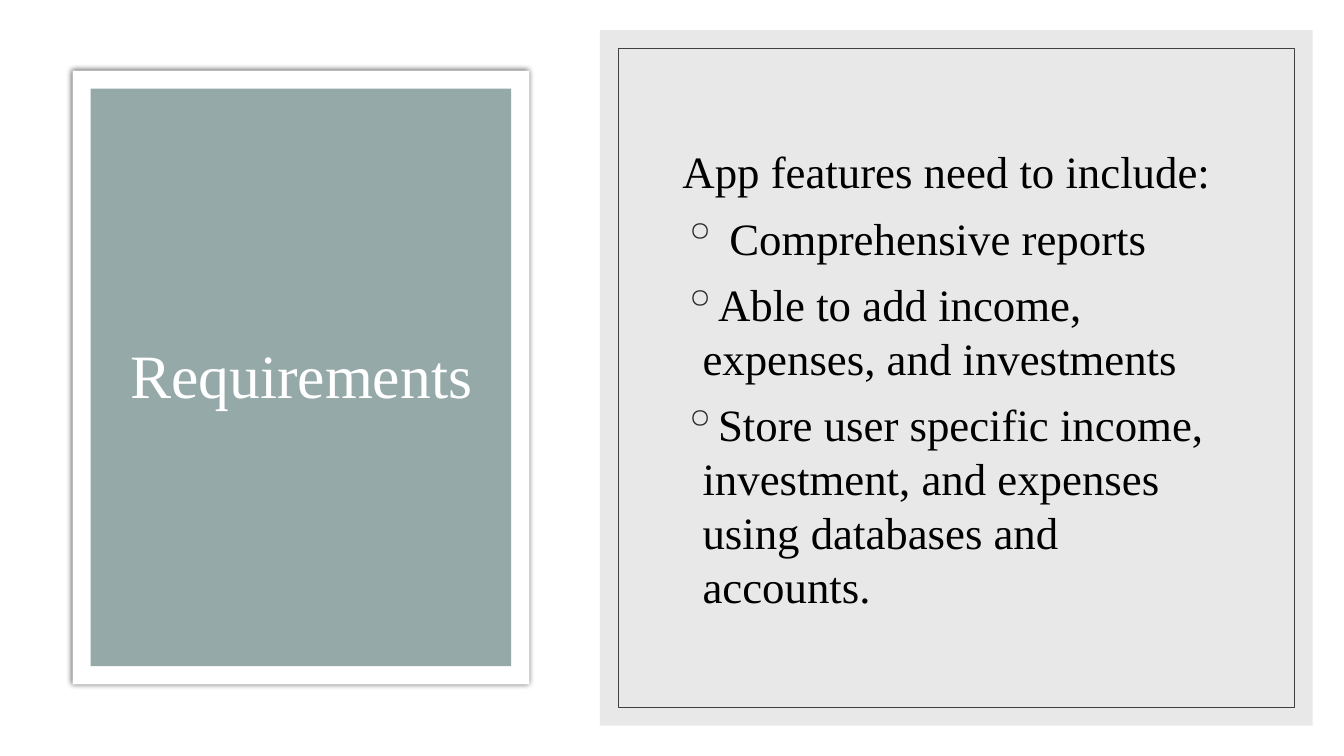
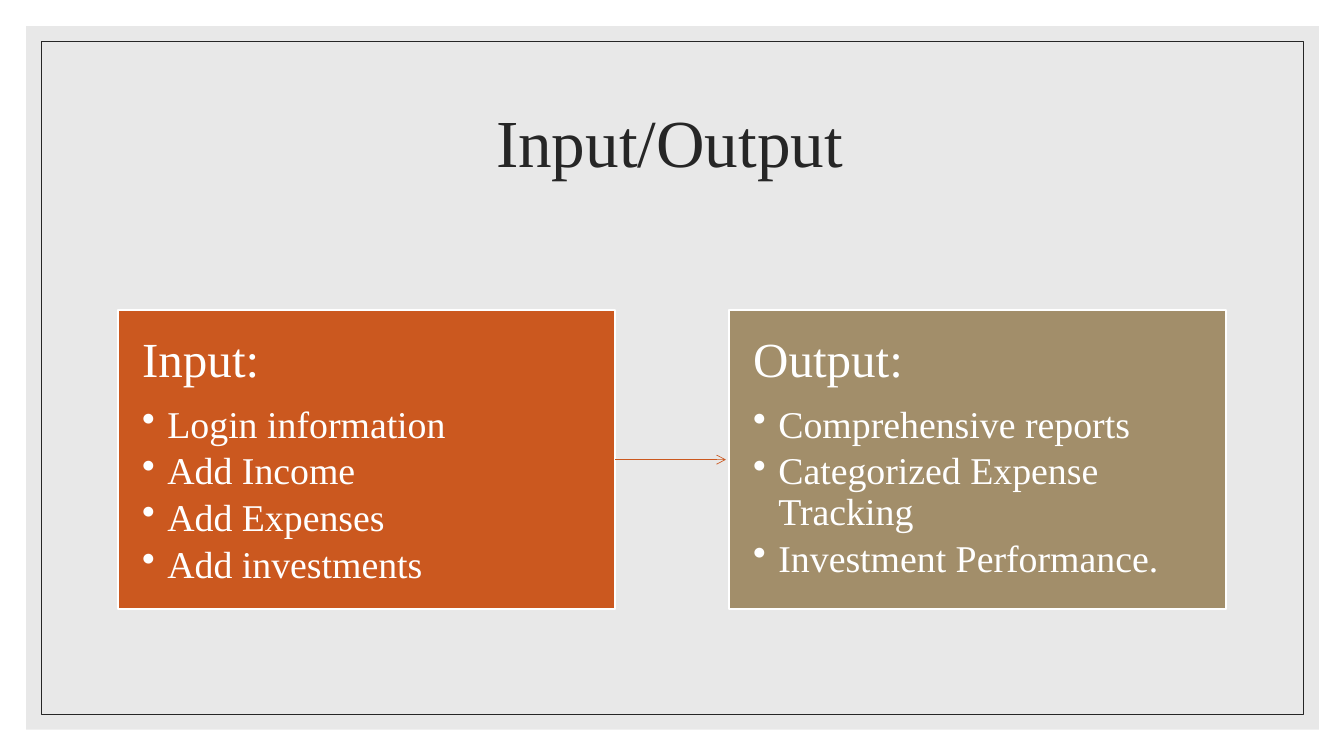
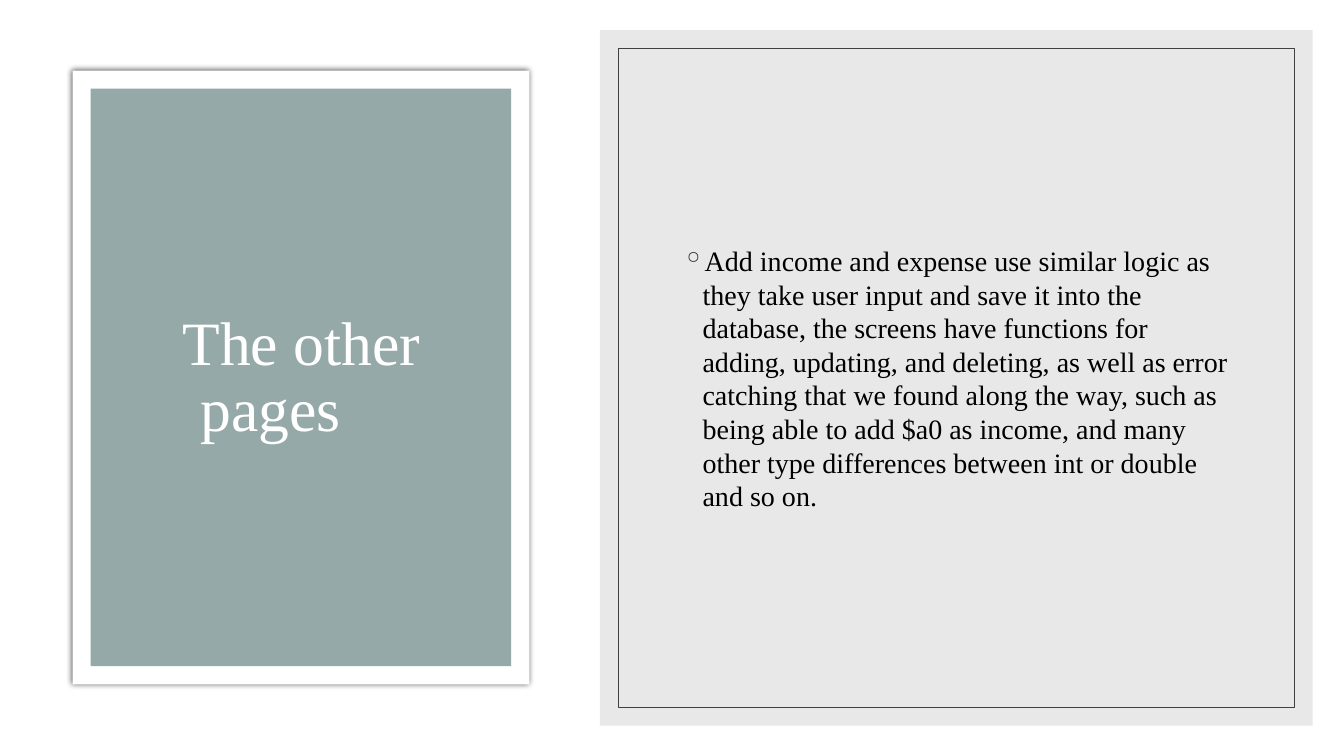
from dataclasses import dataclass
from typing import Optional

from lxml.etree import SubElement
from pptx import Presentation
from pptx.dml.color import RGBColor
from pptx.enum.shapes import MSO_CONNECTOR, MSO_SHAPE
from pptx.enum.text import MSO_ANCHOR, PP_ALIGN
from pptx.oxml.ns import qn
from pptx.util import Inches, Pt

FONT = "Times New Roman"
WHITE, BLACK, INK, EDGE = "FFFFFF", "000000", "262626", "404040"
GREY, SAGE, RUST, TAN = "D9D9D9", "96A9A9", "CB581F", "A28E6A"


@dataclass
class Box:
    left: float
    top: float
    width: float
    height: float

    def inset(self, gap: float) -> "Box":
        return Box(self.left + gap, self.top + gap,
                   self.width - 2 * gap, self.height - 2 * gap)

    def lengths(self) -> list:
        return [Inches(n) for n in (self.left, self.top, self.width, self.height)]


@dataclass
class Para:
    text: str
    size: float
    color: str
    align: PP_ALIGN = PP_ALIGN.LEFT
    line: Optional[float] = None
    before: float = 0
    after: float = 0
    bullet: str = ""
    indent: float = 0
    dot: str = ""


@dataclass
class Card:
    left: float
    fill: str
    head: str
    items: list


@dataclass
class Split:
    title: str
    body: list


def rgb(code: str) -> RGBColor:
    return RGBColor.from_string(code)


def add_rect(slide, box: Box, fill: str = "", line: str = "",
             width: float = 0.5, alpha: int = 100):
    shape = slide.shapes.add_shape(MSO_SHAPE.RECTANGLE, *box.lengths())
    shape.shadow.inherit = False
    if fill:
        shape.fill.solid()
        shape.fill.fore_color.rgb = rgb(fill)
        if alpha < 100:
            tint = shape.fill._xPr.find(".//" + qn("a:srgbClr"))
            SubElement(tint, qn("a:alpha"), val=str(alpha * 1000))
    else:
        shape.fill.background()
    if line:
        shape.line.color.rgb = rgb(line)
        shape.line.width = Pt(width)
    else:
        shape.line.fill.background()
    return shape


def add_glow(shape) -> None:
    """Give the shape a soft, centred shadow."""
    effects = shape._element.spPr.find(qn("a:effectLst"))
    shade = SubElement(effects, qn("a:outerShdw"), blurRad=str(Pt(4)), dist="0",
                       dir="0", algn="ctr", rotWithShape="0")
    tint = SubElement(shade, qn("a:srgbClr"), val=BLACK)
    SubElement(tint, qn("a:alpha"), val="66000")


def write(frame, paras: list, anchor: MSO_ANCHOR = MSO_ANCHOR.MIDDLE) -> None:
    frame.word_wrap = True
    frame.vertical_anchor = anchor
    for i, item in enumerate(paras):
        para = frame.add_paragraph() if i else frame.paragraphs[0]
        para.alignment = item.align
        para.line_spacing = item.line
        para.space_before = Pt(item.before)
        para.space_after = Pt(item.after)
        if item.bullet:
            props = para._p.get_or_add_pPr()
            props.set("marL", str(Inches(item.indent)))
            props.set("indent", str(-Inches(item.indent)))
            if item.dot:
                tint = SubElement(props, qn("a:buClr"))
                SubElement(tint, qn("a:srgbClr"), val=item.dot)
            SubElement(props, qn("a:buChar"), char=item.bullet)
        run = para.add_run()
        run.text = item.text
        run.font.name = FONT
        run.font.size = Pt(item.size)
        run.font.color.rgb = rgb(item.color)


def add_text(slide, box: Box, paras: list) -> None:
    write(slide.shapes.add_textbox(*box.lengths()).text_frame, paras)


def add_title(slide, box: Box, text: str, size: float, color: str) -> None:
    add_text(slide, box, [Para(text, size, color, PP_ALIGN.CENTER, 0.9)])


def add_panel(slide, box: Box, gap: float, line: str) -> None:
    """Draw a pale grey panel with a thin frame inside it."""
    add_rect(slide, box, GREY, alpha=60)
    add_rect(slide, box.inset(gap), line=line)


def add_split(slide, split: Split) -> None:
    """Draw a title plate on the left and a text panel on the right."""
    plate = Box(0.72, 0.7, 4.53, 6.09)
    add_glow(add_rect(slide, plate, WHITE))
    add_rect(slide, plate.inset(0.18), SAGE)
    add_title(slide, Box(1.08, 1.3, 3.82, 4.91), split.title, 44, WHITE)
    panel = Box(5.95, 0.3, 7.07, 6.9)
    add_panel(slide, panel, 0.18, EDGE)
    add_text(slide, panel.inset(0.72), split.body)


def add_card(slide, card: Card):
    shape = add_rect(slide, Box(card.left, 3.08, 4.93, 2.96), card.fill, WHITE, 1.5)
    frame = shape.text_frame
    frame.margin_left = frame.margin_right = Inches(0.24)
    frame.margin_top = frame.margin_bottom = Inches(0.25)
    paras = [Para(card.head, 35, WHITE, line=0.9, after=12.25)]
    paras += [Para(text, 27, WHITE, line=0.9, after=4.05, bullet="•", indent=0.25)
              for text in card.items]
    write(frame, paras, MSO_ANCHOR.TOP)
    return shape


def add_arrow(slide, start, end: float) -> None:
    """Draw an arrow from the right side of a card to the given x."""
    mid = start.top + start.height // 2
    arrow = slide.shapes.add_connector(
        MSO_CONNECTOR.STRAIGHT, start.left + start.width, mid, Inches(end), mid)
    arrow.begin_connect(start, 3)
    arrow.line.color.rgb = rgb(RUST)
    arrow.line.width = Pt(0.5)
    SubElement(arrow.line._get_or_add_ln(), qn("a:tailEnd"), type="arrow")
    SubElement(arrow._element.spPr, qn("a:effectLst"))


def add_flow(slide, title: str, cards: list) -> None:
    add_panel(slide, Box(0.26, 0.26, 12.82, 6.98), 0.15, INK)
    add_title(slide, Box(1.17, 0.7, 11, 1.5), title, 48, INK)
    first, *_ = [add_card(slide, card) for card in cards]
    add_arrow(slide, first, 7.2)


def point(text: str, size: float) -> Para:
    return Para(text, size, BLACK, before=9, bullet="◦", indent=0.2, dot=INK)


NEEDS = Split("Requirements", [
    Para("App features need to include:", 32, BLACK, before=9),
    point(" Comprehensive reports", 32),
    point("Able to add income, expenses, and investments", 32),
    point("Store user specific income, investment, and expenses using "
          "databases and accounts.", 32),
])
CARDS = [
    Card(1.17, RUST, "Input:", ["Login information", "Add Income",
                                "Add Expenses", "Add investments"]),
    Card(7.23, TAN, "Output:", ["Comprehensive reports",
                                "Categorized Expense Tracking",
                                "Investment Performance."]),
]
PAGES = Split("The other pages\t\t", [
    point("Add income and expense use similar logic as they take user input and "
          "save it into the database, the screens have functions for adding, "
          "updating, and deleting, as well as error catching that we found along "
          "the way, such as being able to add $a0 as income, and many other type "
          "differences between int or double and so on.", 20),
])


def main() -> None:
    deck = Presentation()
    deck.slide_width, deck.slide_height = Inches(13.33), Inches(7.5)
    blank = deck.slide_layouts[6]
    add_split(deck.slides.add_slide(blank), NEEDS)
    add_flow(deck.slides.add_slide(blank), "Input/Output\t", CARDS)
    add_split(deck.slides.add_slide(blank), PAGES)
    deck.save("out.pptx")


if __name__ == "__main__":
    main()
